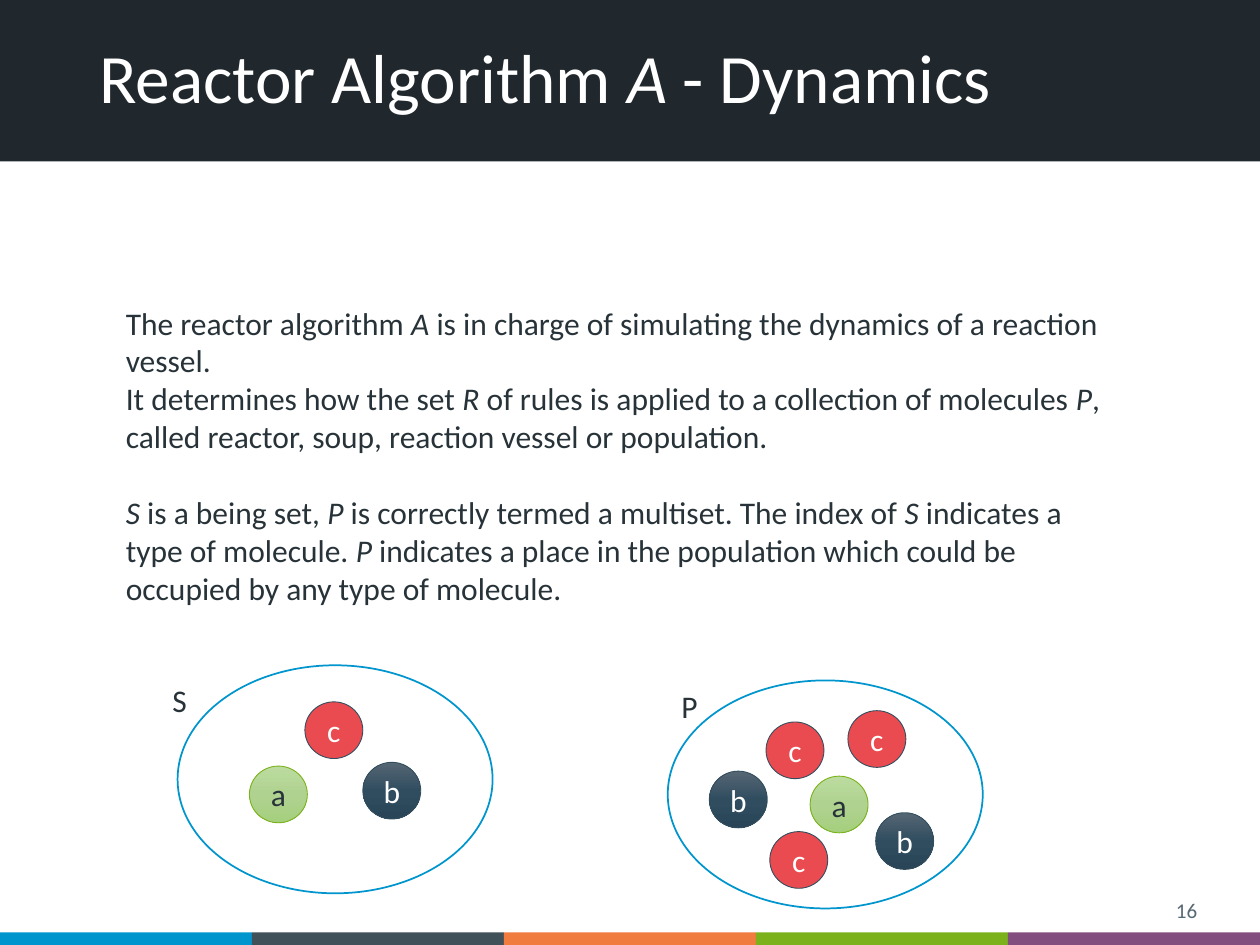
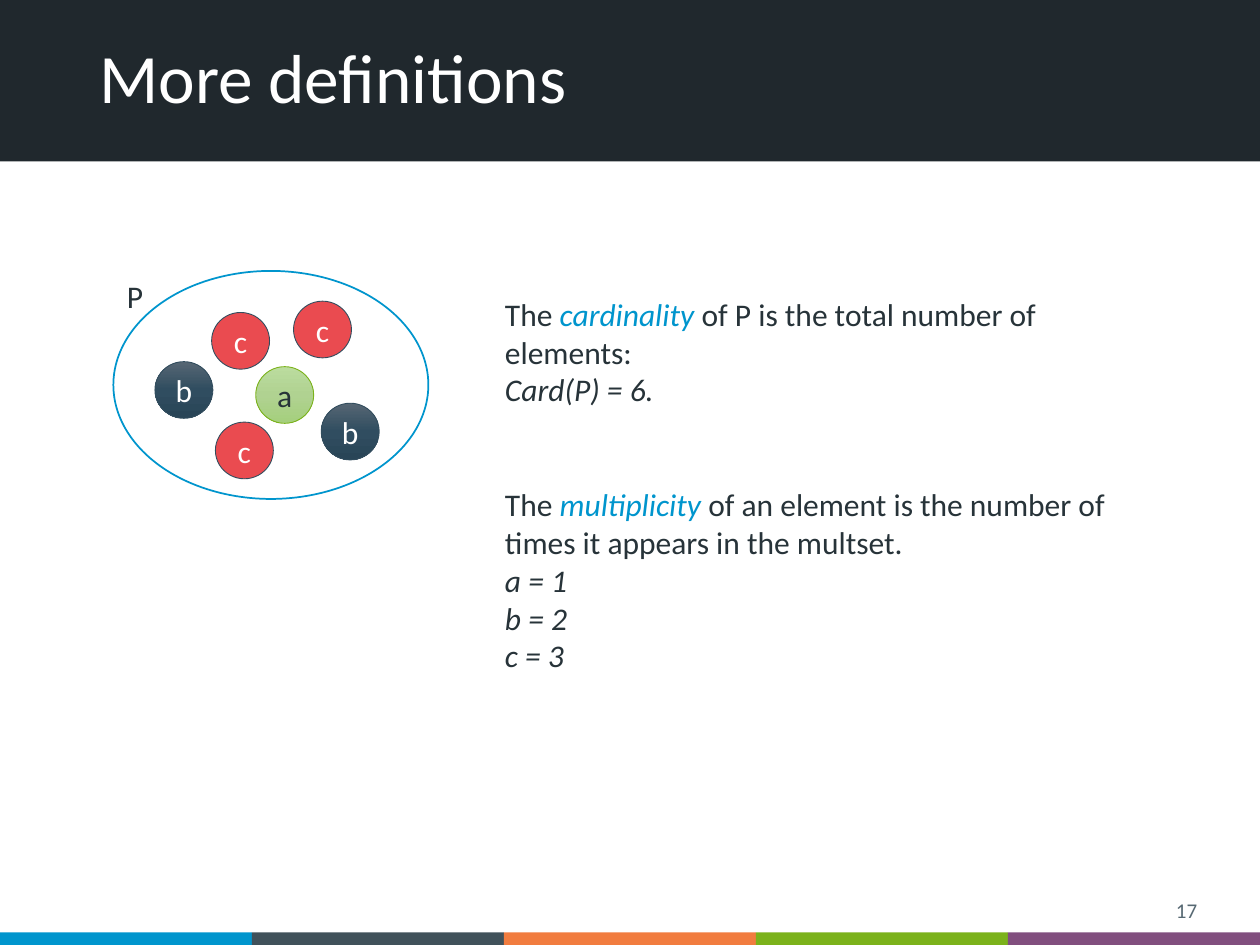
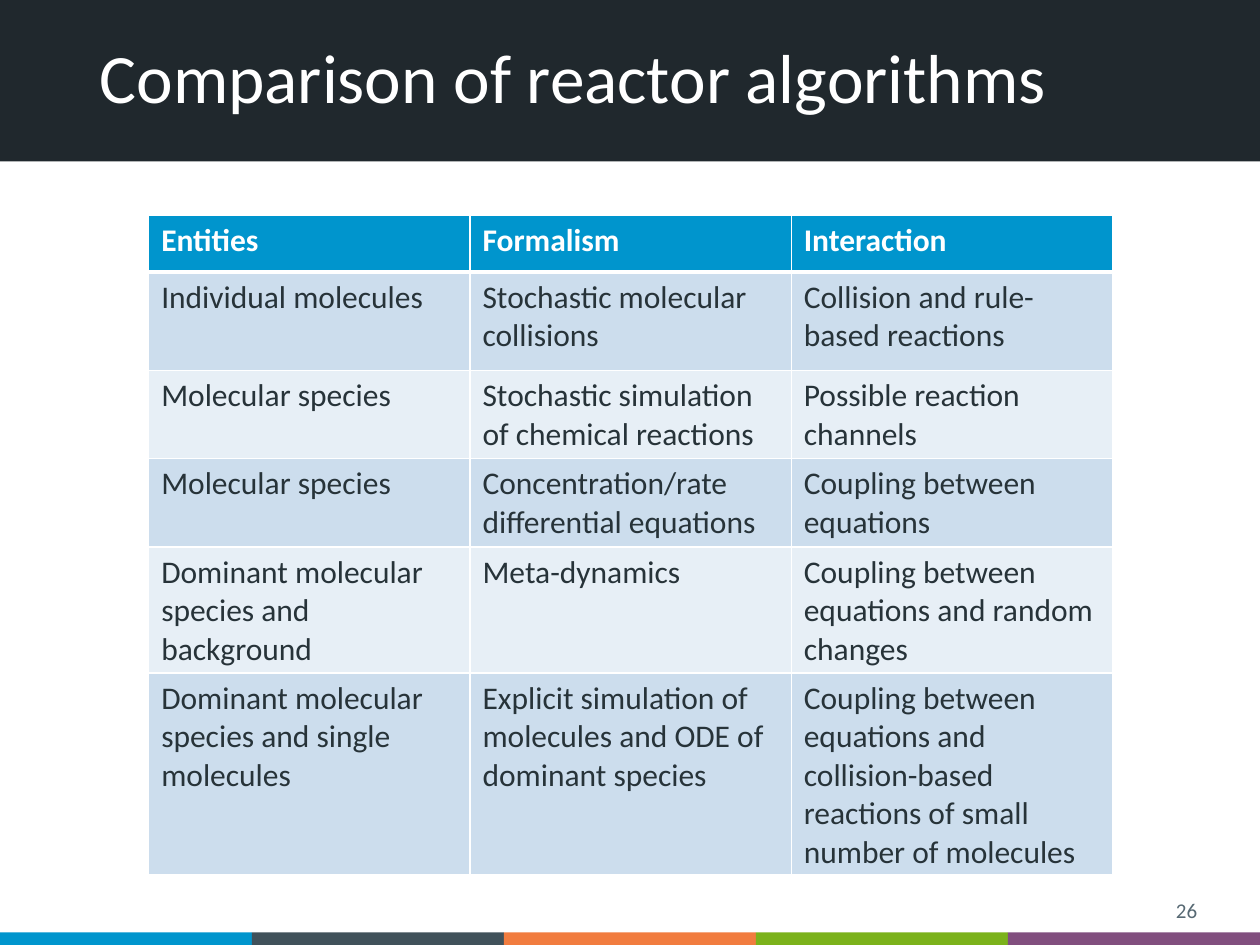
from copy import deepcopy
from typing import NamedTuple

from lxml.etree import SubElement
from pptx import Presentation
from pptx.dml.color import RGBColor
from pptx.enum.shapes import MSO_SHAPE
from pptx.enum.text import MSO_ANCHOR, MSO_AUTO_SIZE, PP_ALIGN
from pptx.oxml.ns import qn
from pptx.util import Inches, Pt

COLORS = {
    "white": "FFFFFF",
    "ink": "273339",
    "band": "20282D",
    "number": "576973",
    "blue": "0095CD",
    "slate": "40515A",
    "orange": "F17C3F",
    "green": "7BB21B",
    "purple": "814E7E",
    "navy": "324D5E",
    "row_dark": "CCDDED",
    "row_light": "E7EFF6",
}
FONT = "Calibri"
LINE_GAP = 22
STRIPES = ("blue", "slate", "orange", "green", "purple")


class Kind(NamedTuple):
    fill: tuple[str, ...]
    line: str
    text: str


class Molecule(NamedTuple):
    kind: str
    dx: float
    dy: float


class Vessel(NamedTuple):
    label: str
    label_dx: float
    label_dy: float
    molecules: tuple[Molecule, ...]


KINDS = {
    "a": Kind(("BBDC9E", "B0D291", "A5CF7D"), "green", "ink"),
    "b": Kind(("566673", "304D60", "294557"), "navy", "white"),
    "c": Kind(("EA4B50",), "navy", "white"),
}
SET_S = Vessel("S", -0.14, 0.08, (
    Molecule("a", 0.57, 0.8),
    Molecule("b", 1.47, 0.77),
    Molecule("c", 1.01, 0.29),
))
POPULATION_P = Vessel("P", 0.01, 0, (
    Molecule("a", 1.13, 0.76),
    Molecule("b", 0.33, 0.72),
    Molecule("c", 0.78, 0.33),
    Molecule("c", 0.81, 1.2),
    Molecule("c", 1.43, 0.24),
    Molecule("b", 1.65, 1.05),
))
COMPARISON = (
    ("Entities", "Formalism", "Interaction"),
    ("Individual molecules", "Stochastic molecular collisions",
     "Collision and rule-based reactions"),
    ("Molecular species", "Stochastic simulation of chemical reactions",
     "Possible reaction channels"),
    ("Molecular species", "Concentration/rate differential equations",
     "Coupling between equations"),
    ("Dominant molecular species and background", "Meta-dynamics",
     "Coupling between equations and random changes"),
    ("Dominant molecular species and single molecules",
     "Explicit simulation of molecules and ODE of dominant species",
     "Coupling between equations and collision-based reactions of small number of molecules"),
)


def rgb(name: str) -> RGBColor:
    return RGBColor.from_string(COLORS[name])


def write(frame, text: str, *, size: float = 18, color: str = "ink", emphasis: str = "",
          bold: bool = False, align=PP_ALIGN.LEFT, before: float = 0, spacing: float = 1) -> None:
    paragraph = frame.paragraphs[0]
    if paragraph.runs:
        paragraph = frame.add_paragraph()
    paragraph.alignment = align
    paragraph.space_before = Pt(before)
    paragraph.line_spacing = spacing
    for index, part in enumerate(text.split("*")):
        if part:
            italic = index % 2 == 1
            run = paragraph.add_run()
            run.text = part
            run.font.name = FONT
            run.font.size = Pt(size)
            run.font.bold = bold
            run.font.italic = italic
            run.font.color.rgb = rgb(emphasis if italic and emphasis else color)


def add_frame(slide, left: float, top: float, width: float, height: float, wrap: bool = True):
    frame = slide.shapes.add_textbox(
        Inches(left), Inches(top), Inches(width), Inches(height)).text_frame
    frame.word_wrap = wrap
    return frame


def add_bar(slide, left: float, top: float, width: float, height: float, color: str):
    bar = slide.shapes.add_shape(
        MSO_SHAPE.RECTANGLE, Inches(left), Inches(top), Inches(width), Inches(height))
    bar.shadow.inherit = False
    bar.fill.solid()
    bar.fill.fore_color.rgb = rgb(color)
    bar.line.fill.background()
    return bar


def decorate_layout(layout, slide) -> None:
    bars = [add_bar(slide, 0, -0.01, 10, 1.29, "band")]
    bars += [add_bar(slide, 2 * i, 7.4, 2, 0.1, color) for i, color in enumerate(STRIPES)]
    front = layout.placeholders[0].element
    for bar_id, bar in enumerate(bars, 20):
        bar.element.nvSpPr.cNvPr.set("id", str(bar_id))
        front.addprevious(bar.element)


def add_titled_slide(deck, title: str, number: int):
    layout = deck.slide_layouts[5]
    slide = deck.slides.add_slide(layout)
    if len(deck.slides) == 1:
        decorate_layout(layout, slide)
    heading = slide.shapes.title
    heading.left, heading.top = Inches(0.69), Inches(0.27)
    heading.width, heading.height = Inches(8.62), Inches(0.74)
    heading.text_frame.auto_size = MSO_AUTO_SIZE.NONE
    heading.text_frame.vertical_anchor = MSO_ANCHOR.MIDDLE
    write(heading.text_frame, title, size=39.6, color="white", spacing=0.9)
    page = add_frame(slide, 7.35, 7.07, 2.25, 0.31)
    page.vertical_anchor = MSO_ANCHOR.MIDDLE
    write(page, str(number), size=12, color="number", align=PP_ALIGN.RIGHT)
    return slide


def add_ellipse(slide, left: float, top: float, width: float, height: float,
                line: str, weight: float):
    ellipse = slide.shapes.add_shape(
        MSO_SHAPE.OVAL, Inches(left), Inches(top), Inches(width), Inches(height))
    ellipse.shadow.inherit = False
    ellipse.fill.background()
    ellipse.line.color.rgb = rgb(line)
    ellipse.line.width = Pt(weight)
    return ellipse


def fill_molecule(ball, shades: tuple[str, ...]) -> None:
    if len(shades) == 1:
        ball.fill.solid()
        ball.fill.fore_color.rgb = RGBColor.from_string(shades[0])
        return
    ball.fill.gradient()
    ball.fill.gradient_angle = 270
    stop_list = ball.element.spPr.find(qn("a:gradFill")).find(qn("a:gsLst"))
    stop_list.append(deepcopy(stop_list[0]))
    for index, (stop, shade) in enumerate(zip(ball.fill.gradient_stops, shades)):
        stop.position = index / (len(shades) - 1)
        stop.color.rgb = RGBColor.from_string(shade)


def draw_vessel(slide, vessel: Vessel, left: float, top: float) -> None:
    for molecule in vessel.molecules:
        kind = KINDS[molecule.kind]
        ball = add_ellipse(slide, left + molecule.dx, top + molecule.dy, 0.46, 0.45,
                           kind.line, 0.5)
        fill_molecule(ball, kind.fill)
        frame = ball.text_frame
        frame.margin_left = frame.margin_right = 0
        frame.vertical_anchor = MSO_ANCHOR.MIDDLE
        write(frame, molecule.kind, color=kind.text, align=PP_ALIGN.CENTER)
    add_ellipse(slide, left, top, 2.5, 1.81, "blue", 1)
    label = add_frame(slide, left + vessel.label_dx, top + vessel.label_dy, 0.33, 0.4, wrap=False)
    write(label, vessel.label)


def set_borders(cell, top: float, bottom: float) -> None:
    properties = cell._tc.get_or_add_tcPr()
    for side, weight in (("L", 1), ("R", 1), ("T", top), ("B", bottom)):
        border = SubElement(properties, qn(f"a:ln{side}"), w=str(Pt(weight)))
        SubElement(SubElement(border, qn("a:solidFill")), qn("a:srgbClr"), val=COLORS["white"])


def add_comparison(slide) -> None:
    table = slide.shapes.add_table(
        len(COMPARISON), 3, Inches(1.18), Inches(1.71), Inches(7.65), Inches(5.24)).table
    for column in table.columns:
        column.width = Inches(2.55)
    for r, texts in enumerate(COMPARISON):
        header = r == 0
        table.rows[r].height = Inches(0.78 if r == 1 else 0.45)
        fill = "blue" if header else "row_dark" if r % 2 else "row_light"
        for c, text in enumerate(texts):
            cell = table.cell(r, c)
            set_borders(cell, 3 if r == 1 else 1, 3 if header else 1)
            cell.fill.solid()
            cell.fill.fore_color.rgb = rgb(fill)
            write(cell.text_frame, text, color="white" if header else "ink", bold=header)


def build_dynamics(deck) -> None:
    slide = add_titled_slide(deck, "Reactor Algorithm *A* - Dynamics", 16)
    body = add_frame(slide, 0.9, 2.36, 8.08, 2.52)
    write(body, "The reactor algorithm *A* is in charge of simulating the dynamics "
                "of a reaction vessel.")
    write(body, "It determines how the set *R* of rules is applied to a collection of "
                "molecules *P*, called reactor, soup, reaction vessel or population.")
    write(body, "*S* is a being set, *P* is correctly termed a multiset. The index of *S* "
                "indicates a type of molecule. *P* indicates a place in the population "
                "which could be occupied by any type of molecule.", before=LINE_GAP)
    draw_vessel(slide, SET_S, 1.41, 5.28)
    draw_vessel(slide, POPULATION_P, 5.3, 5.4)


def build_definitions(deck) -> None:
    slide = add_titled_slide(deck, "More definitions", 17)
    draw_vessel(slide, POPULATION_P, 0.9, 2.15)
    body = add_frame(slide, 3.91, 2.29, 5.46, 4.04)
    write(body, "The *cardinality* of P is the total number of elements:", emphasis="blue")
    write(body, "*Card(P) = 6.*")
    write(body, "The *multiplicity* of an element is the number of times it appears "
                "in the multset.", emphasis="blue", before=2 * LINE_GAP)
    for count in ("a = 1", "b = 2", "c = 3"):
        write(body, f"*{count}*")


def main() -> None:
    deck = Presentation()
    deck.slide_width, deck.slide_height = Inches(10), Inches(7.5)
    build_dynamics(deck)
    build_definitions(deck)
    add_comparison(add_titled_slide(deck, "Comparison of reactor algorithms", 26))
    deck.save("out.pptx")


if __name__ == "__main__":
    main()
